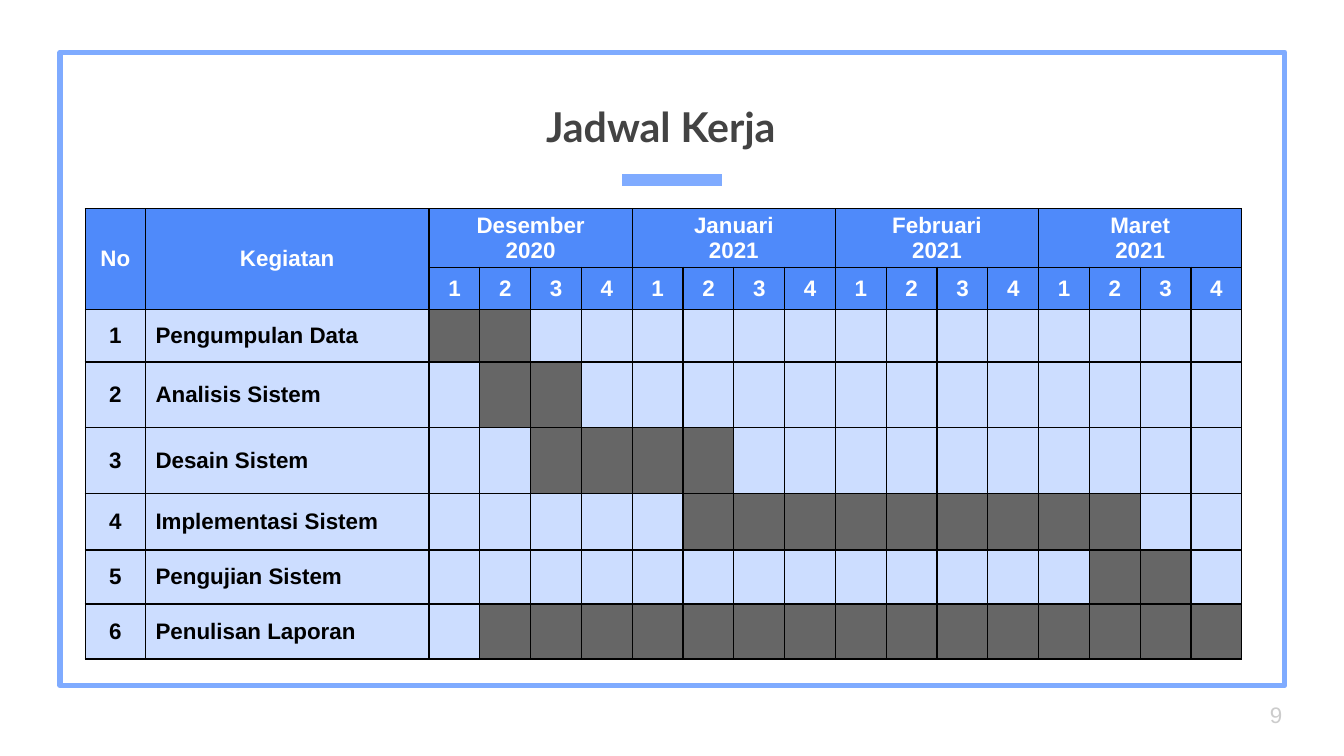
from lxml import etree
from pptx import Presentation
from pptx.dml.color import RGBColor
from pptx.enum.shapes import MSO_CONNECTOR, MSO_SHAPE
from pptx.enum.text import MSO_ANCHOR, MSO_AUTO_SIZE, PP_ALIGN
from pptx.oxml.ns import qn
from pptx.util import Cm, Pt

CENTER, LEFT = PP_ALIGN.CENTER, PP_ALIGN.LEFT
MIDDLE, BOTTOM = MSO_ANCHOR.MIDDLE, MSO_ANCHOR.BOTTOM

COLORS = {
    "accent": "7FABFF",
    "title": "434343",
    "page": "CCCCCC",
    "header": "4F8AFA",
    "body": "CCDDFF",
    "busy": "666666",
    "white": "FFFFFF",
    "black": "000000",
}
MONTHS = ["Desember\n2020", "Januari\n2021", "Februari\n2021", "Maret\n2021"]
WEEKS = 4
# Activity, first and last busy week counted over all months
ACTIVITIES = [
    ("Pengumpulan Data", 1, 2),
    ("Analisis Sistem", 2, 3),
    ("Desain Sistem", 3, 6),
    ("Implementasi Sistem", 6, 14),
    ("Pengujian Sistem", 14, 15),
    ("Penulisan Laporan", 2, 16),
]
COLUMN_WIDTHS = [1.14, 5.36] + [0.96] * (WEEKS * len(MONTHS))
ROW_HEIGHTS = [1.07, 0.79, 1, 1.24, 1.24, 1.07, 1.02, 1.04]


def style_text(frame, size, font, color, bold=False, align=LEFT):
    for paragraph in frame.paragraphs:
        paragraph.alignment = align
        paragraph.font.size = Pt(size)
        paragraph.font.name = font
        paragraph.font.bold = bold
        paragraph.font.color.rgb = RGBColor.from_string(COLORS[color])


def fill_cell(cell, text, fill, color="black", align=CENTER):
    """Write a table cell with black borders on all four sides."""
    properties = cell._tc.get_or_add_tcPr()
    for side in ("a:lnL", "a:lnR", "a:lnT", "a:lnB"):
        border = etree.SubElement(properties, qn(side), w=str(Pt(0.75)))
        solid = etree.SubElement(border, qn("a:solidFill"))
        etree.SubElement(solid, qn("a:srgbClr"), val=COLORS["black"])
    cell.fill.solid()
    cell.fill.fore_color.rgb = RGBColor.from_string(COLORS[fill])
    cell.margin_left = cell.margin_right = Cm(0.08)
    cell.margin_top = cell.margin_bottom = Cm(0.08)
    cell.vertical_anchor = MIDDLE
    cell.text = text
    style_text(cell.text_frame, 12, "Arial", color, True, align)


presentation = Presentation()
presentation.slide_width = Cm(25.4)
presentation.slide_height = Cm(14.28)
slide = presentation.slides.add_slide(presentation.slide_layouts[5])
shapes = slide.shapes

# Frame and accent line
frame = shapes.add_shape(MSO_SHAPE.RECTANGLE, Cm(1.14), Cm(0.99), Cm(23.14), Cm(11.96))
frame.shadow.inherit = False
frame.fill.background()
frame.line.color.rgb = RGBColor.from_string(COLORS["accent"])
frame.line.width = Pt(3)
etree.SubElement(frame._element.spPr.find(qn("a:ln")), qn("a:round"))

accent = shapes.add_connector(MSO_CONNECTOR.STRAIGHT, Cm(11.76), Cm(3.4), Cm(13.64), Cm(3.4))
accent.line.color.rgb = RGBColor.from_string(COLORS["accent"])
accent.line.width = Pt(6)
etree.SubElement(accent._element.spPr, qn("a:effectLst"))

# Title and page number
title = shapes.title
title.left, title.top, title.width, title.height = Cm(3.28), Cm(1.57), Cm(18.42), Cm(1.52)
title.text_frame.text = "Jadwal Kerja"
title.text_frame.vertical_anchor = BOTTOM
style_text(title.text_frame, 22, "Lato", "title", True, CENTER)

page_number = shapes.add_textbox(Cm(23.75), Cm(12.95), Cm(1.52), Cm(1.09))
page_number.text_frame.text = "9"
page_number.text_frame.vertical_anchor = MIDDLE
style_text(page_number.text_frame, 12, "Arial", "page")

for shape in (title, page_number):
    text_frame = shape.text_frame
    text_frame.auto_size = MSO_AUTO_SIZE.NONE
    text_frame.word_wrap = True
    text_frame.margin_left = text_frame.margin_right = Cm(0.25)
    text_frame.margin_top = text_frame.margin_bottom = Cm(0.25)

# Schedule table
table = shapes.add_table(
    len(ROW_HEIGHTS), len(COLUMN_WIDTHS), Cm(1.61), Cm(3.94),
    Cm(sum(COLUMN_WIDTHS)), Cm(sum(ROW_HEIGHTS)),
).table
for column, width in zip(table.columns, COLUMN_WIDTHS):
    column.width = Cm(width)
for row, height in zip(table.rows, ROW_HEIGHTS):
    row.height = Cm(height)

for column, heading in enumerate(("No", "Kegiatan")):
    fill_cell(table.cell(0, column), heading, "header", "white")
    fill_cell(table.cell(1, column), "", "header", "white")
    table.cell(0, column).merge(table.cell(1, column))

for index, month in enumerate(MONTHS):
    first = 2 + index * WEEKS
    for week in range(WEEKS):
        fill_cell(table.cell(0, first + week), "" if week else month, "header", "white")
        fill_cell(table.cell(1, first + week), str(week + 1), "header", "white")
    table.cell(0, first).merge(table.cell(0, first + WEEKS - 1))

for number, (activity, start, end) in enumerate(ACTIVITIES, 1):
    row = number + 1
    fill_cell(table.cell(row, 0), str(number), "body")
    fill_cell(table.cell(row, 1), activity, "body", align=LEFT)
    table.cell(row, 1).margin_left = Cm(0.19)
    for week in range(1, WEEKS * len(MONTHS) + 1):
        fill_cell(table.cell(row, week + 1), "", "busy" if start <= week <= end else "body")

presentation.save("out.pptx")
